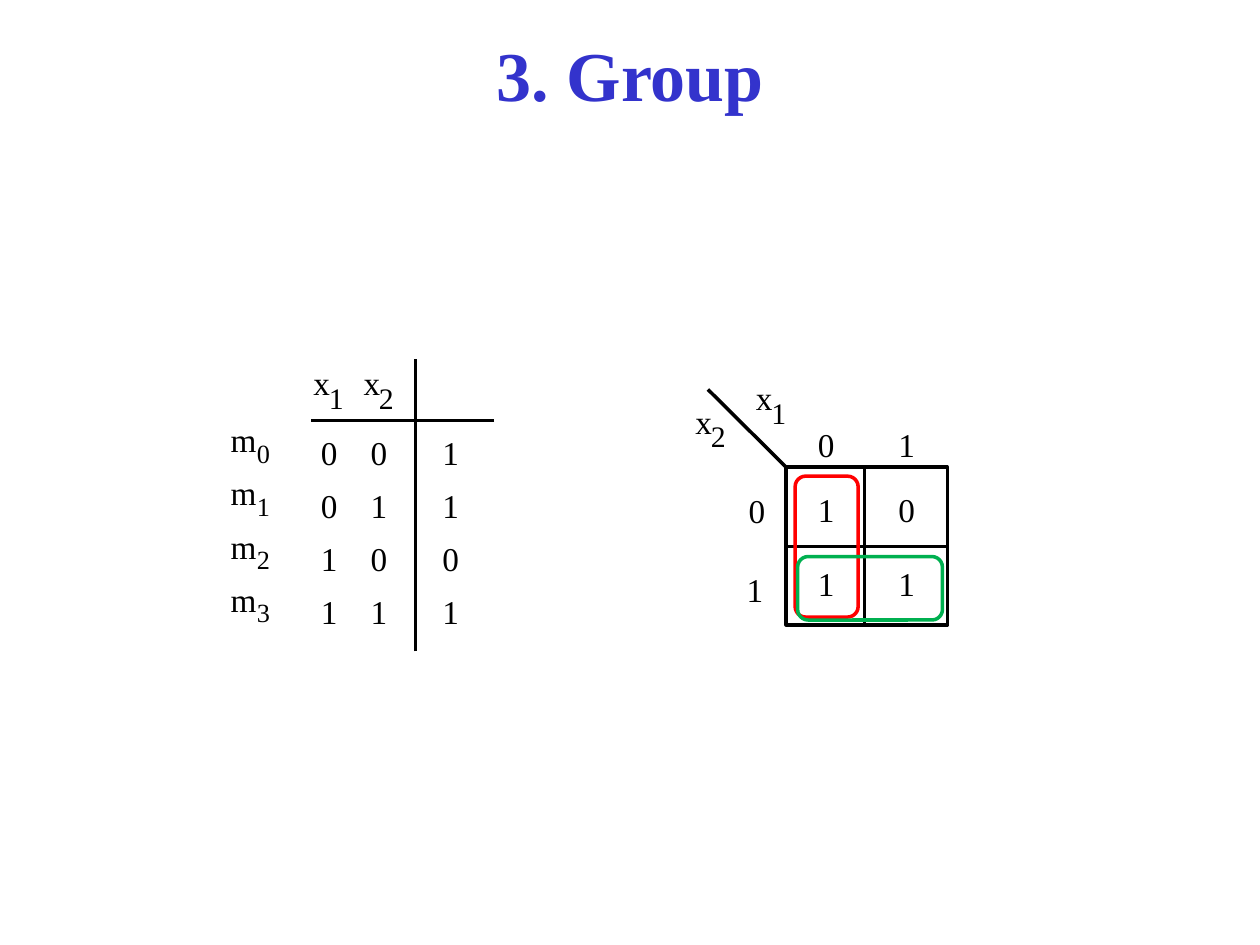
from lxml.etree import SubElement
from pptx import Presentation
from pptx.dml.color import RGBColor
from pptx.enum.shapes import MSO_CONNECTOR as Connector, MSO_SHAPE as Preset
from pptx.enum.text import MSO_ANCHOR as Anchor, MSO_AUTO_SIZE as AutoSize, PP_ALIGN as Align
from pptx.oxml.ns import qn
from pptx.util import Cm, Pt

FONT = "Times New Roman"
BLACK = RGBColor(0x00, 0x00, 0x00)
WHITE = RGBColor(0xFF, 0xFF, 0xFF)
BLUE = RGBColor(0x33, 0x33, 0xCC)
RED = RGBColor(0xFF, 0x00, 0x00)
GREEN = RGBColor(0x00, 0xB0, 0x50)

TRUTH_ROWS = ["001", "011", "100", "111"]
TRUTH_COLUMNS = [6.47, 7.47, 8.92]
TRUTH_TOP = 8.71
TRUTH_PITCH = 1.07
MAP_ROWS = ["10", "11"]
MAP_COLUMNS = [16.49, 18.11]
MAP_TOPS = [9.86, 11.36]
MAP_ROW_LABELS = [(15.09, 9.89), (15.05, 11.48)]


def write(para, text, size=19, color=BLACK, bold=False):
    span = para.add_run()
    span.text = text
    span.font.name = FONT
    span.font.size = Pt(size)
    span.font.color.rgb = color
    span.font.bold = bold


def add_title(page, text):
    title = page.shapes.title
    title.left, title.top, title.width, title.height = Cm(0.64), Cm(0.64), Cm(24.13), Cm(1.7)
    title.text_frame.vertical_anchor = Anchor.MIDDLE
    para = title.text_frame.paragraphs[0]
    para.alignment = Align.CENTER
    write(para, text, size=40, color=BLUE, bold=True)


def add_label(page, text, left, top, width=0.5, size=19):
    box = page.shapes.add_textbox(Cm(left), Cm(top), Cm(width), Cm(size * 0.0425))
    frame = box.text_frame
    frame.margin_left = frame.margin_right = frame.margin_top = frame.margin_bottom = 0
    frame.word_wrap = False
    frame.auto_size = AutoSize.SHAPE_TO_FIT_TEXT
    write(frame.paragraphs[0], text, size=size)


def add_symbol(page, letter, index, left, top, width=0.46, shift=0.31, index_width=0.46, index_size=17):
    add_label(page, letter, left, top, width=width)
    add_label(page, index, left + shift, top + 0.35, width=index_width, size=index_size)


def add_line(page, start, end):
    line = page.shapes.add_connector(Connector.STRAIGHT, *map(Cm, start + end))
    line.line.color.rgb = BLACK
    line.line.width = Pt(2)
    SubElement(line._element.spPr, qn("a:effectLst"))


def add_frame(page, preset, left, top, width, height, color, fill=None):
    shape = page.shapes.add_shape(preset, Cm(left), Cm(top), Cm(width), Cm(height))
    shape.shadow.inherit = False
    shape.line.color.rgb = color
    shape.line.width = Pt(2)
    if fill is None:
        shape.fill.background()
    else:
        shape.fill.solid()
        shape.fill.fore_color.rgb = fill


def add_truth_table(page):
    add_line(page, (9.96, 8.48), (6.27, 8.48))
    add_line(page, (8.38, 13.13), (8.38, 7.24))
    add_symbol(page, "x", "1", 6.32, 7.31)
    add_symbol(page, "x", "2", 7.33, 7.31)
    for index, values in enumerate(TRUTH_ROWS):
        top = TRUTH_TOP + index * TRUTH_PITCH
        add_symbol(page, "m", str(index), 4.65, top - 0.25, width=0.66,
                   shift=0.53, index_width=0.41, index_size=15)
        for value, left in zip(values, TRUTH_COLUMNS):
            add_label(page, value, left, top)


def add_karnaugh_map(page):
    add_frame(page, Preset.RECTANGLE, 15.85, 9.42, 3.25, 3.18, BLACK, fill=WHITE)
    add_line(page, (19.1, 11.02), (15.85, 11.02))
    add_line(page, (17.43, 12.6), (17.43, 9.42))
    add_line(page, (14.27, 7.85), (15.85, 9.42))
    add_symbol(page, "x", "2", 14.02, 8.08)
    add_symbol(page, "x", "1", 15.24, 7.6)
    for index, (left, top) in enumerate(MAP_ROW_LABELS):
        add_label(page, str(index), left, top)
        add_label(page, str(index), MAP_COLUMNS[index], 8.56)
    for values, top in zip(MAP_ROWS, MAP_TOPS):
        for value, left in zip(values, MAP_COLUMNS):
            add_label(page, value, left, top, width=0.38)
    add_frame(page, Preset.ROUNDED_RECTANGLE, 16.03, 9.6, 1.27, 2.84, RED)
    add_frame(page, Preset.ROUNDED_RECTANGLE, 16.08, 11.22, 2.92, 1.28, GREEN)


def main():
    deck = Presentation()
    deck.slide_width, deck.slide_height = Cm(25.4), Cm(19.05)
    page = deck.slides.add_slide(deck.slide_layouts[5])
    add_title(page, "3. Group")
    add_truth_table(page)
    add_karnaugh_map(page)
    deck.save("out.pptx")


if __name__ == "__main__":
    main()
